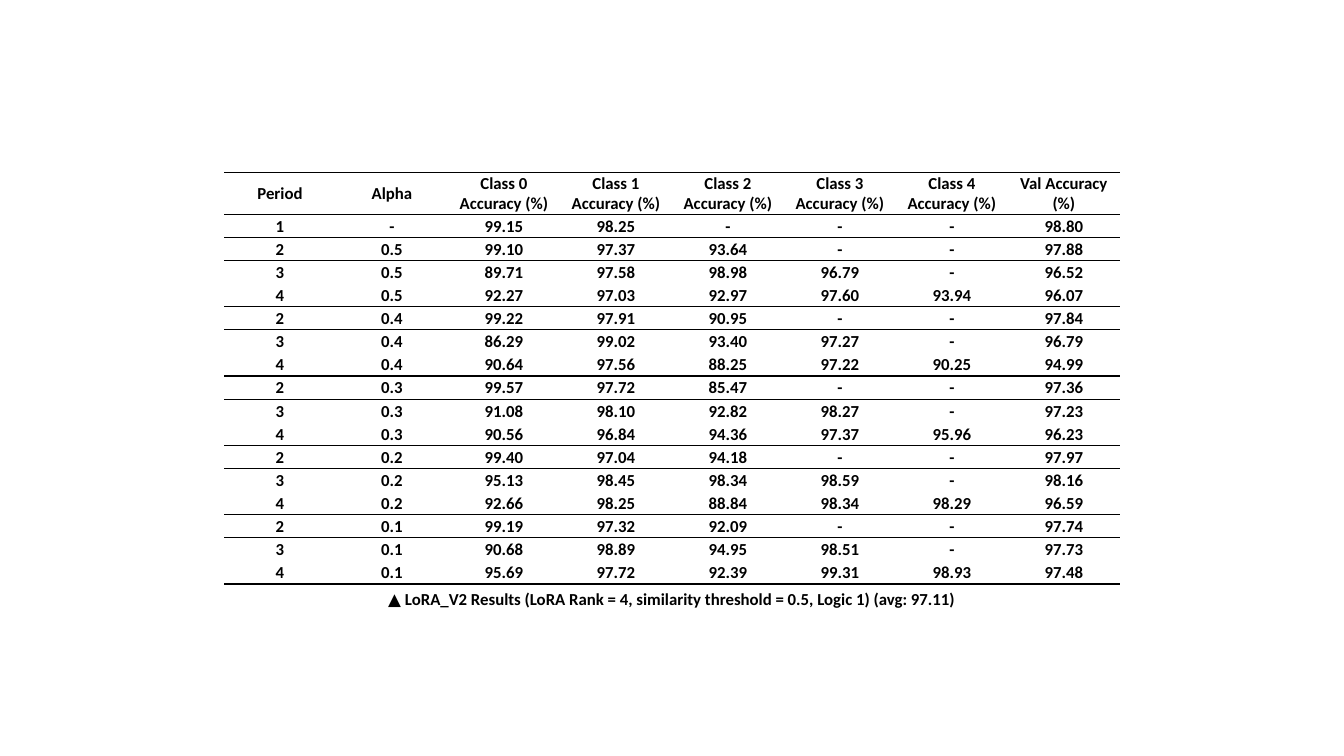
from lxml.etree import SubElement
from pptx import Presentation
from pptx.dml.color import RGBColor
from pptx.enum.text import MSO_ANCHOR, MSO_AUTO_SIZE, PP_ALIGN
from pptx.oxml.ns import qn
from pptx.util import Cm, Pt

HEADER = ["Period", "Alpha"] + [f"Class {n} Accuracy (%)" for n in range(5)] + ["Val Accuracy\n(%)"]
RESULTS = [
    "1 - 99.15 98.25 - - - 98.80",
    "2 0.5 99.10 97.37 93.64 - - 97.88",
    "3 0.5 89.71 97.58 98.98 96.79 - 96.52",
    "4 0.5 92.27 97.03 92.97 97.60 93.94 96.07",
    "2 0.4 99.22 97.91 90.95 - - 97.84",
    "3 0.4 86.29 99.02 93.40 97.27 - 96.79",
    "4 0.4 90.64 97.56 88.25 97.22 90.25 94.99",
    "2 0.3 99.57 97.72 85.47 - - 97.36",
    "3 0.3 91.08 98.10 92.82 98.27 - 97.23",
    "4 0.3 90.56 96.84 94.36 97.37 95.96 96.23",
    "2 0.2 99.40 97.04 94.18 - - 97.97",
    "3 0.2 95.13 98.45 98.34 98.59 - 98.16",
    "4 0.2 92.66 98.25 88.84 98.34 98.29 96.59",
    "2 0.1 99.19 97.32 92.09 - - 97.74",
    "3 0.1 90.68 98.89 94.95 98.51 - 97.73",
    "4 0.1 95.69 97.72 92.39 99.31 98.93 97.48",
]
CAPTION = [
    ("▲", "Lato"),
    (" LoRA_V2 Results (LoRA Rank = 4, similarity threshold = 0.5, Logic 1) (avg: 97.11)", "Calibri"),
]

BLACK = RGBColor(0, 0, 0)
SLIDE_WIDTH, SLIDE_HEIGHT = Cm(33.87), Cm(19.05)
TABLE_TOP, TABLE_WIDTH = Cm(4.34), Cm(22.58)
HEADER_HEIGHT, BODY_HEIGHT = Cm(1.05), Cm(9.32)
CAPTION_WIDTH, CAPTION_HEIGHT = Cm(16.93), Cm(0.77)
INSET = Cm(0.03)


def style_span(span, font_name):
    font = span.font
    font.name, font.size, font.bold = font_name, Pt(12), True
    font.color.rgb = BLACK


def set_borders(cell, ruled_sides):
    """Rule the given sides (out of L, R, T, B) in black and clear the others."""
    properties = cell._tc.get_or_add_tcPr()
    for side in "LRTB":
        line = SubElement(properties, qn(f"a:ln{side}"), w=str(Pt(1)))
        if side in ruled_sides:
            fill = SubElement(line, qn("a:solidFill"))
            SubElement(fill, qn("a:srgbClr"), val=str(BLACK))
        else:
            SubElement(line, qn("a:noFill"))


def fill_cell(cell, text, ruled_sides):
    cell.text_frame.text = text
    cell.vertical_anchor = MSO_ANCHOR.MIDDLE
    cell.margin_left = cell.margin_right = cell.margin_top = INSET
    cell.margin_bottom = 0
    for para in cell.text_frame.paragraphs:
        para.alignment = PP_ALIGN.CENTER
        for span in para.runs:
            style_span(span, "Calibri")
    set_borders(cell, ruled_sides)
    cell.fill.background()


def add_results(page):
    rows = [HEADER] + [line.split() for line in RESULTS]
    left = (SLIDE_WIDTH - TABLE_WIDTH) // 2
    table = page.shapes.add_table(len(rows), len(HEADER), left, TABLE_TOP,
                                  TABLE_WIDTH, HEADER_HEIGHT + BODY_HEIGHT).table
    table.first_row = table.horz_banding = False
    for number, values in enumerate(rows):
        table.rows[number].height = BODY_HEIGHT // len(RESULTS) if number else HEADER_HEIGHT
        # Periods 3 and 4 of one alpha share a block, with no rule between them.
        period = values[0]
        below = "" if period == "3" else "B"
        above = "" if period == "4" else "T"
        for column, text in enumerate(values):
            fill_cell(table.cell(number, column), text, above + below)


def add_caption(page):
    left = (SLIDE_WIDTH - CAPTION_WIDTH) // 2
    box = page.shapes.add_textbox(left, TABLE_TOP + HEADER_HEIGHT + BODY_HEIGHT,
                                  CAPTION_WIDTH, CAPTION_HEIGHT)
    box.text_frame.word_wrap = True
    box.text_frame.auto_size = MSO_AUTO_SIZE.SHAPE_TO_FIT_TEXT
    para = box.text_frame.paragraphs[0]
    para.alignment = PP_ALIGN.CENTER
    for text, font_name in CAPTION:
        span = para.add_run()
        span.text = text
        style_span(span, font_name)


def main():
    deck = Presentation()
    deck.slide_width, deck.slide_height = SLIDE_WIDTH, SLIDE_HEIGHT
    page = deck.slides.add_slide(deck.slide_layouts[6])
    add_results(page)
    add_caption(page)
    deck.save("out.pptx")


if __name__ == "__main__":
    main()
